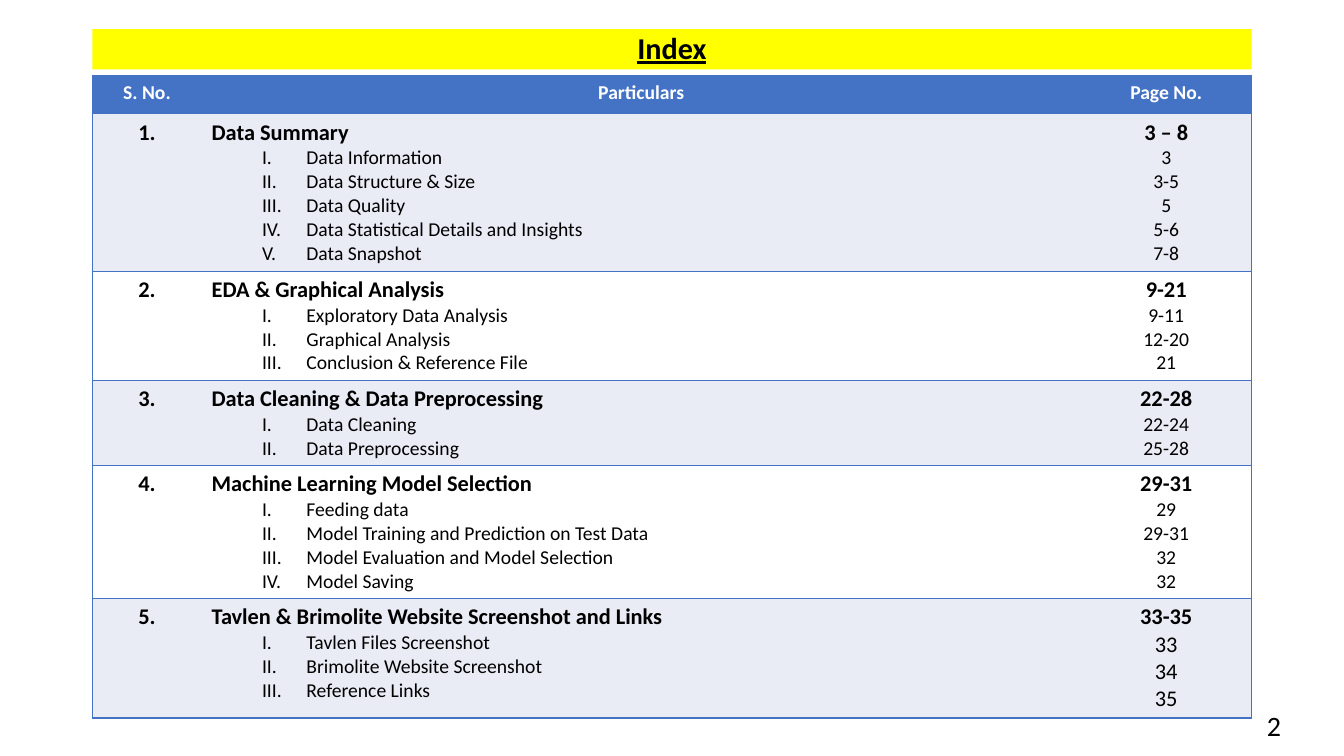
import pptx
import pptx.dml.color
import pptx.enum.shapes
import pptx.enum.text
import pptx.oxml.ns
import pptx.util
from lxml import etree

WIDTH, HEIGHT = 13.333, 7.5
# Page grid: 160 columns by 150 rows
COLUMN, ROW = WIDTH / 160, HEIGHT / 150
FONT = "Calibri"
BLUE, BAND, WHITE, BLACK, YELLOW = "4472C4", "E9EBF5", "FFFFFF", "000000", "FFFF00"
ALIGN = pptx.enum.text.PP_ALIGN
LEFT_MARGIN, FULL_WIDTH = 11, 138

HEADINGS = ["S. No.", "Particulars", "Page No."]
COLUMN_WIDTHS = [13, 104.7, 20.3]
# Title, pages, size of the page numbers, topics with their pages
SECTIONS = [
    ("Data Summary", "3 – 8", 14, [
        ("Data Information", "3"),
        ("Data Structure & Size", "3-5"),
        ("Data Quality", "5"),
        ("Data Statistical Details and Insights", "5-6"),
        ("Data Snapshot", "7-8")]),
    ("EDA & Graphical Analysis", "9-21", 14, [
        ("Exploratory Data Analysis", "9-11"),
        ("Graphical Analysis", "12-20"),
        ("Conclusion & Reference File", "21")]),
    ("Data Cleaning & Data Preprocessing", "22-28", 14, [
        ("Data Cleaning", "22-24"),
        ("Data Preprocessing", "25-28")]),
    ("Machine Learning Model Selection", "29-31", 14, [
        ("Feeding data", "29"),
        ("Model Training and Prediction on Test Data", "29-31"),
        ("Model Evaluation and Model Selection", "32"),
        ("Model Saving", "32")]),
    ("Tavlen & Brimolite Website Screenshot and Links", "33-35", 16, [
        ("Tavlen Files Screenshot", "33"),
        ("Brimolite Website Screenshot", "34"),
        ("Reference Links", "35")]),
]


def color(value):
    return pptx.dml.color.RGBColor.from_string(value)


def across(columns):
    return pptx.util.Inches(columns * COLUMN)


def down(rows):
    return pptx.util.Inches(rows * ROW)


def place(left, top, width, height):
    return across(left), down(top), across(width), down(height)


def write(frame, text, size=14, bold=False, underline=False, ink=BLACK,
          align=ALIGN.CENTER, numbered=False):
    """Fill the first paragraph if it is free, otherwise add one."""
    para = frame.paragraphs[0]
    if para.runs:
        para = frame.add_paragraph()
    para.alignment = align
    span = para.add_run()
    span.text = text
    font = span.font
    font.name, font.size = FONT, pptx.util.Pt(size)
    font.bold, font.underline = bold, underline
    font.color.rgb = color(ink)
    if numbered:
        para.level = 1
        properties = para._p.get_or_add_pPr()
        properties.set("marL", str(pptx.util.Inches(0.94)))
        properties.set("indent", str(pptx.util.Inches(-0.44)))
        bullet = etree.SubElement(properties, pptx.oxml.ns.qn("a:buAutoNum"))
        bullet.set("type", "romanUcPeriod")
    return para


def add_border(cell, side, visible):
    properties = cell._tc.get_or_add_tcPr()
    line = etree.SubElement(properties, pptx.oxml.ns.qn("a:ln" + side))
    line.set("w", str(pptx.util.Pt(1)))
    if visible:
        fill = etree.SubElement(line, pptx.oxml.ns.qn("a:solidFill"))
        etree.SubElement(fill, pptx.oxml.ns.qn("a:srgbClr")).set("val", BLUE)
    else:
        etree.SubElement(line, pptx.oxml.ns.qn("a:noFill"))


def style_row(cells, fill):
    last = len(cells) - 1
    for index, cell in enumerate(cells):
        add_border(cell, "L", index == 0)
        add_border(cell, "R", index == last)
        add_border(cell, "T", True)
        add_border(cell, "B", True)
        cell.fill.solid()
        cell.fill.fore_color.rgb = color(fill)


def add_title(page, text):
    box = page.shapes.add_shape(pptx.enum.shapes.MSO_SHAPE.RECTANGLE,
                                *place(LEFT_MARGIN, 5.8, FULL_WIDTH, 8))
    box.shadow.inherit = False
    box.fill.solid()
    box.fill.fore_color.rgb = color(YELLOW)
    box.line.fill.background()
    box.text_frame.vertical_anchor = pptx.enum.text.MSO_ANCHOR.MIDDLE
    para = write(box.text_frame, text, size=21.6, bold=True, underline=True)
    para.line_spacing = 0.9


def fill_section(cells, number, section):
    title, pages, page_size, topics = section
    number_frame, topic_frame, page_frame = [cell.text_frame for cell in cells]
    write(number_frame, f"{number}.", size=16, bold=True)
    write(topic_frame, title, size=16, bold=True, align=ALIGN.LEFT)
    write(page_frame, pages, size=16, bold=True)
    for topic, topic_pages in topics:
        write(topic_frame, topic, align=ALIGN.LEFT, numbered=True)
        write(page_frame, topic_pages, size=page_size)


def section_height(section):
    line_height = 4.8 if section[2] == 14 else 5.4
    return 7.2 + line_height * len(section[3])


def add_index(page):
    heights = [7.6] + [section_height(section) for section in SECTIONS]
    table = page.shapes.add_table(
        len(heights), len(HEADINGS),
        *place(LEFT_MARGIN, 15, FULL_WIDTH, sum(heights))).table
    table.horz_banding = False
    for column, width in zip(table.columns, COLUMN_WIDTHS):
        column.width = across(width)
    for row, height in zip(table.rows, heights):
        row.height = down(height)

    # Header row, then one banded row for each section
    header, *body = [list(row.cells) for row in table.rows]
    style_row(header, BLUE)
    for cell, heading in zip(header, HEADINGS):
        write(cell.text_frame, heading, bold=True, ink=WHITE)
    for number, (cells, section) in enumerate(zip(body, SECTIONS), start=1):
        style_row(cells, BAND if number % 2 else WHITE)
        fill_section(cells, number, section)


def add_page_number(page, text):
    box = page.shapes.add_textbox(*place(147.2, 140, 6.5, 8))
    box.text_frame.word_wrap = True
    box.text_frame.vertical_anchor = pptx.enum.text.MSO_ANCHOR.MIDDLE
    write(box.text_frame, text, size=20, align=ALIGN.RIGHT)


def main():
    deck = pptx.Presentation()
    deck.slide_width = pptx.util.Inches(WIDTH)
    deck.slide_height = pptx.util.Inches(HEIGHT)
    page = deck.slides.add_slide(deck.slide_layouts[6])
    add_title(page, "Index")
    add_index(page)
    add_page_number(page, "2")
    deck.save("out.pptx")


if __name__ == "__main__":
    main()
